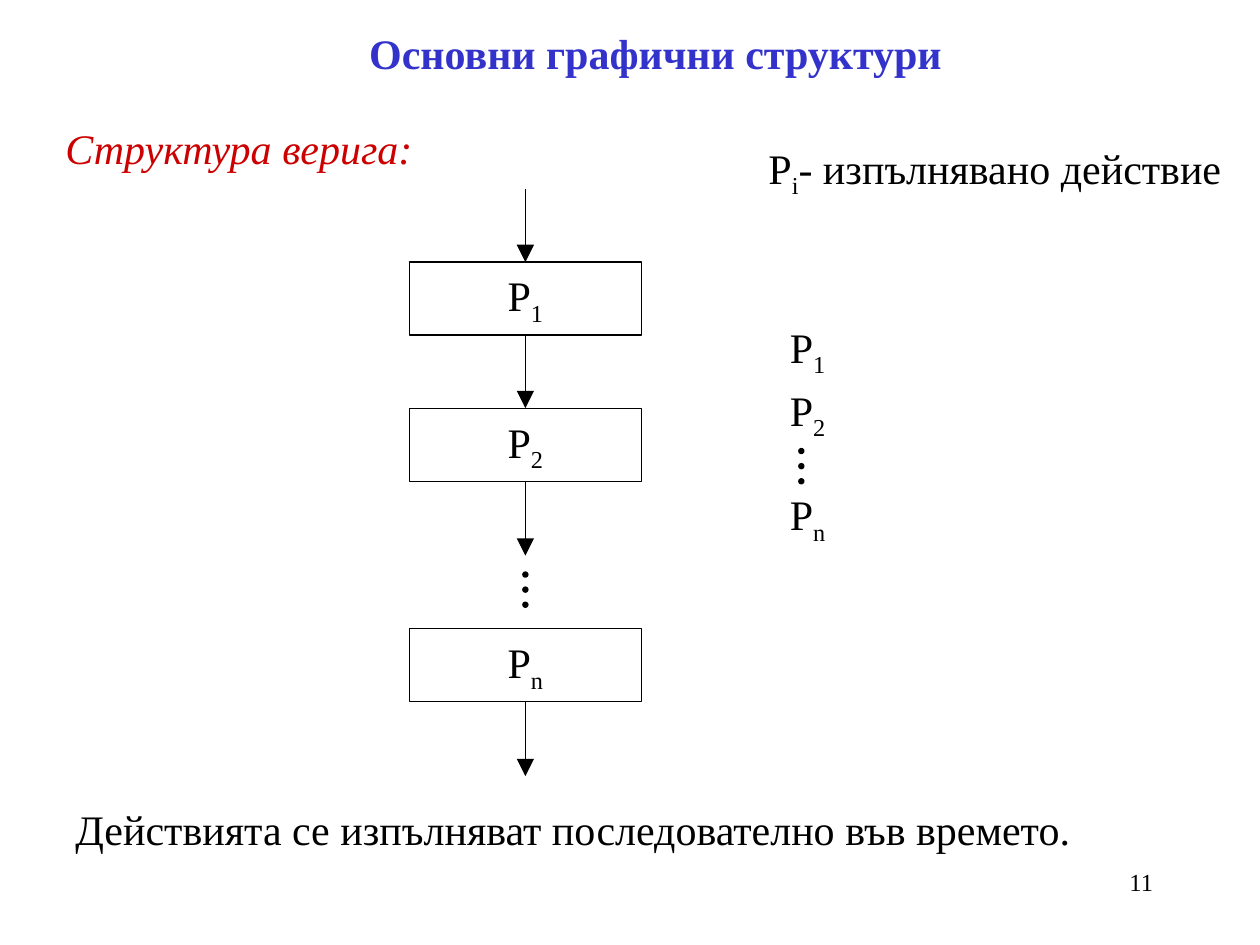
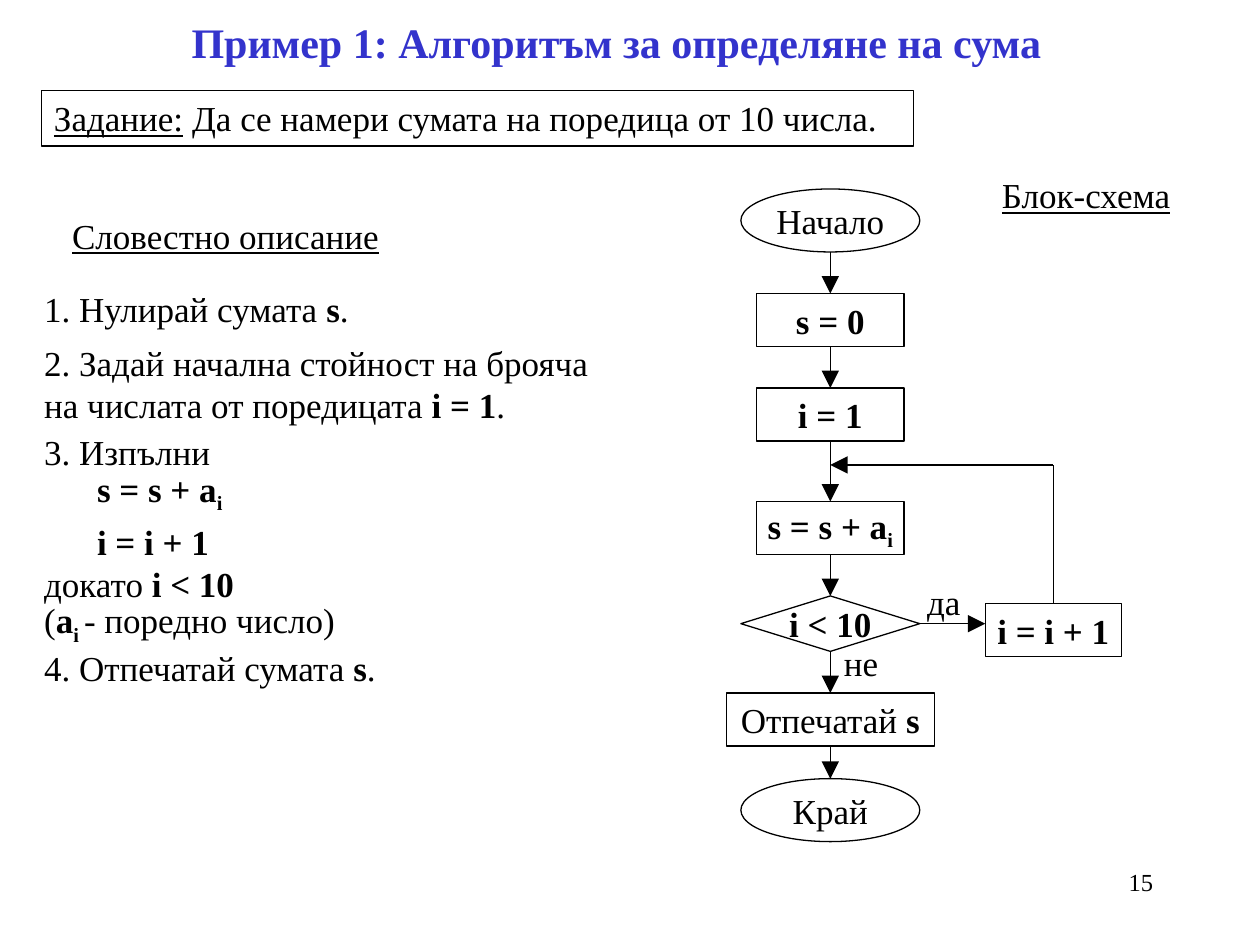
from lxml import etree
from pptx import Presentation
from pptx.dml.color import RGBColor
from pptx.enum.shapes import MSO_CONNECTOR, MSO_SHAPE, MSO_SHAPE_TYPE
from pptx.enum.text import MSO_ANCHOR, MSO_AUTO_SIZE, PP_ALIGN
from pptx.oxml.ns import qn
from pptx.util import Inches, Pt

BLUE = RGBColor(0x33, 0x33, 0xCC)
RED = RGBColor(0xCC, 0x00, 0x00)
BLACK = RGBColor(0x00, 0x00, 0x00)
FONT = "Times New Roman"
THIN = Pt(0.75)
LEFT, MID, RIGHT = PP_ALIGN.LEFT, PP_ALIGN.CENTER, PP_ALIGN.RIGHT
RECT, OVAL, RHOMB = MSO_SHAPE.RECTANGLE, MSO_SHAPE.OVAL, MSO_SHAPE.DIAMOND
TOP, BOTTOM, EAST = 0, 2, 3


def write(shape, lines, size, color=BLACK, align=LEFT, anchor=MSO_ANCHOR.TOP):
    frame = shape.text_frame
    frame.word_wrap = anchor == MSO_ANCHOR.TOP
    frame.auto_size = MSO_AUTO_SIZE.NONE
    frame.vertical_anchor = anchor
    for n, line in enumerate(lines):
        para = frame.add_paragraph() if n else frame.paragraphs[0]
        para.alignment = align
        para.space_before = Pt(0)
        for text, style in line:
            run = para.add_run()
            run.text = text
            font = run.font
            font.name, font.size = FONT, Pt(size)
            font.color.rgb = color
            font.bold = "b" in style
            font.italic = "i" in style
            font.underline = "u" in style
            if "-" in style:
                run._r.get_or_add_rPr().set("baseline", "-25000")


def link(page, start, end, src=None, dst=None, tip=True):
    line = page.shapes.add_connector(
        MSO_CONNECTOR.STRAIGHT, *map(Inches, start + end))
    if src:
        line.begin_connect(*src)
    if dst:
        line.end_connect(*dst)
    line.line.width = THIN
    line.line.color.rgb = BLACK
    if tip:
        etree.SubElement(line.line._get_or_add_ln(), qn("a:tailEnd"),
                         type="triangle", w="lg", len="lg")
    etree.SubElement(line._element.spPr, qn("a:effectLst"))


deck = Presentation()
deck.slide_width, deck.slide_height = Inches(10), Inches(7.5)
chain = deck.slides.add_slide(deck.slide_layouts[5])
total = deck.slides.add_slide(deck.slide_layouts[1])

for page, text, at, num in [
    (chain, "Основни графични структури", (2.83, 0.17, 5, 0.5), "11"),
    (total, "Пример 1: Алгоритъм за определяне на сума",
     (1.42, 0.08, 7.08, 0.5), "15"),
]:
    head = page.shapes.title
    head.left, head.top, head.width, head.height = map(Inches, at)
    write(head, [[(text, "b")]], 24, BLUE)
    foot = page.shapes.add_textbox(*map(Inches, (7.17, 6.83, 2.08, 0.5)))
    write(foot, [[(num, "")]], 14, align=RIGHT)

for page, at, line, size, color, align in [
    (chain, (0.42, 0.92, 7.42, 0.5), [("Структура верига:", "i")],
     24, RED, LEFT),
    (chain, (6, 1.08, 3.92, 0.56),
     [("Р", ""), ("i", "-"), ("- изпълнявано действие", "")],
     24, BLACK, LEFT),
    (chain, (6.17, 2.5, 0.5, 0.56), [("Р", ""), ("1", "-")], 24, BLACK, LEFT),
    (chain, (6.17, 3, 0.5, 0.56), [("Р", ""), ("2", "-")], 24, BLACK, LEFT),
    (chain, (6.17, 3.83, 0.5, 0.56), [("Р", ""), ("n", "-")], 24, BLACK, LEFT),
    (chain, (0.5, 6.33, 8.92, 0.5),
     [("Действията се изпълняват последователно във времето.", "")],
     24, BLACK, LEFT),
    (total, (0.25, 1.65, 3.08, 0.44), [("Словестно описание", "u")],
     20, BLACK, MID),
    (total, (7.58, 1.33, 2.08, 0.44), [("Блок-схема", "u")], 20, BLACK, MID),
    (total, (7.26, 4.56, 0.5, 0.44), [("да", "")], 20, BLACK, LEFT),
    (total, (6.6, 5.04, 0.5, 0.44), [("не", "")], 20, BLACK, LEFT),
]:
    note = page.shapes.add_textbox(*map(Inches, at))
    write(note, [line], size, color, align)

axis = 4.17
boxes = []
for top, mark in [(2.08, "1"), (3.24, "2"), (4.99, "n")]:
    box = chain.shapes.add_shape(
        RECT, *map(Inches, (axis - 0.92, top, 1.84, 0.58)))
    write(box, [[("Р", ""), (mark, "-")]], 24, align=MID,
          anchor=MSO_ANCHOR.MIDDLE)
    boxes.append(box)
first, second, last = boxes
for top, src, dst in [
    (1.5, None, (first, TOP)),
    (2.66, (first, BOTTOM), (second, TOP)),
    (3.82, (second, BOTTOM), None),
    (5.57, (last, BOTTOM), None),
]:
    link(chain, (axis, top), (axis, top + 0.59), src, dst)

for left, top in [(4.15, 4.54), (6.34, 3.56)]:
    for n in range(3):
        dot = chain.shapes.add_shape(
            OVAL, *map(Inches, (left, top + 0.12 * n, 0.04, 0.04)))
        dot.fill.solid()
        dot.fill.fore_color.rgb = BLACK

task = total.shapes.add_shape(RECT, *map(Inches, (0.33, 0.72, 6.92, 0.44)))
write(task, [[("Задание:", "u"),
              (" Да се намери сумата на поредица от 10 числа.", "")]], 20)

steps = total.placeholders[1]
steps.left, steps.top, steps.width, steps.height = map(
    Inches, (0.25, 2.23, 4.83, 3.28))
write(steps, [
    [("1. Нулирай сумата ", ""), ("s", "b"), (".", "")],
    [("2. Задай начална стойност на брояча на числата от поредицата ", ""),
     ("i = 1", "b"), (".", "")],
    [("3. Изпълни", "")],
    [("s = s + а", "b"), ("i", "b-")],
    [("i = i + 1", "b")],
    [("докато ", ""), ("i < 10", "b")],
    [("(", ""), ("а", "b"), ("i ", "b-"), ("- поредно число)", "")],
    [("4. Отпечатай сумата ", ""), ("s", "b"), (".", "")],
], 20)
for para, gap, shift in zip(steps.text_frame.paragraphs,
                            (0, 7, 3, 0, 3, 0, 0, 0),
                            (0, 0, 0, 0.42, 0.42, 0, 0, 0)):
    para.line_spacing = Pt(24)
    para.space_before = Pt(gap)
    props = para._p.get_or_add_pPr()
    props.set("marL", str(Inches(shift)))
    props.set("indent", "0")
    etree.SubElement(props, qn("a:buNone"))

axis = 6.59
prior = None
nodes = []
for kind, top, width, height, line in [
    (OVAL, 1.5, 1.42, 0.5, [("Начало", "")]),
    (RECT, 2.33, 1.17, 0.42, [("s = 0", "b")]),
    (RECT, 3.08, 1.17, 0.42, [("i = 1", "b")]),
    (RECT, 3.98, 1.17, 0.42, [("s = s + a", "b"), ("i", "b-")]),
    (RHOMB, 4.73, 1.42, 0.44, [("i < 10", "b")]),
    (RECT, 5.5, 1.65, 0.42, [("Отпечатай ", ""), ("s", "b")]),
    (OVAL, 6.18, 1.42, 0.5, [("Край", "")]),
]:
    node = total.shapes.add_shape(
        kind, *map(Inches, (axis - width / 2, top, width, height)))
    write(node, [line], 20, align=MID, anchor=MSO_ANCHOR.MIDDLE)
    if prior:
        link(total, (axis, base), (axis, top),
             None if last == OVAL else (prior, BOTTOM),
             None if kind == OVAL else (node, TOP))
    prior, last, base = node, kind, top + height
    nodes.append(node)

test = nodes[4]
count = total.shapes.add_shape(RECT, *map(Inches, (7.82, 4.79, 1.08, 0.42)))
write(count, [[("i = i + 1", "b")]], 20, align=MID, anchor=MSO_ANCHOR.MIDDLE)
link(total, (7.3, 4.95), (7.82, 4.95), (test, EAST))
link(total, (8.36, 4.79), (8.36, 3.69), (count, TOP), tip=False)
link(total, (8.36, 3.69), (axis, 3.69))

for page in deck.slides:
    for shape in page.shapes:
        if shape.shape_type != MSO_SHAPE_TYPE.AUTO_SHAPE:
            continue
        shape.shadow.inherit = False
        shape.line.width = THIN
        shape.line.color.rgb = BLACK
        frame = shape.text_frame
        if frame.text:
            shape.fill.background()
        if not frame.word_wrap:
            frame.margin_left = frame.margin_right = 0
            frame.margin_top = frame.margin_bottom = 0

deck.save("out.pptx")
